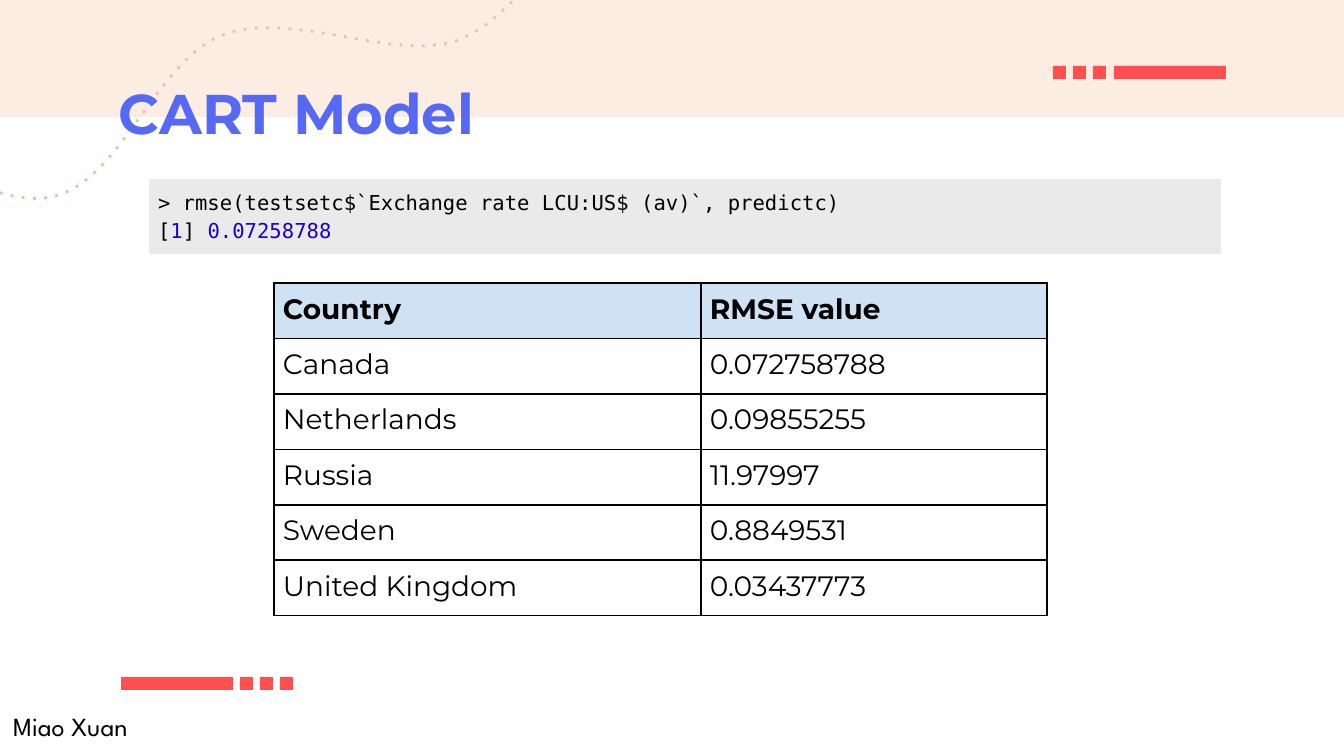
from lxml import etree
from pptx import Presentation
from pptx import util as u
from pptx.dml.color import RGBColor
from pptx.enum import shapes, text
from pptx.oxml.ns import qn

BLACK = RGBColor(0x00, 0x00, 0x00)
PEACH = RGBColor(0xFC, 0xED, 0xE3)
SALMON = RGBColor(0xEF, 0xBF, 0xAB)
CORAL = RGBColor(0xFF, 0x4F, 0x4E)
INDIGO = RGBColor(0x56, 0x69, 0xF4)
GRAY = RGBColor(0xEA, 0xEA, 0xEA)
SKY = RGBColor(0xCF, 0xE2, 0xF3)
NUMBER = RGBColor(0x1C, 0x00, 0xCF)

TITLE = "CART Model"
AUTHOR = "Miao Xuan"
CODE = [
    [("> rmse(testsetc$`Exchange rate LCU:US$ (av)`, predictc)", BLACK)],
    [("[", BLACK), ("1", NUMBER), ("] ", BLACK), ("0.07258788", NUMBER)],
]
RESULTS = [
    ("Country", "RMSE value"),
    ("Canada", "0.072758788"),
    ("Netherlands", "0.09855255"),
    ("Russia", "11.97997"),
    ("Sweden", "0.8849531"),
    ("United Kingdom", "0.03437773"),
]
BAR_STARTS = [
    (1114, [1053, 1073, 1093], 66),
    (121, [240, 260, 280], 677),
]
WAVE_START = (-396, 297)
WAVE_CURVES = [
    [(-362, 270), (-259, 157), (-184, 140)],
    [(-109, 124), (-13, 214), (55, 196)],
    [(122, 179), (156, 60), (223, 35)],
    [(290, 9), (396, 63), (458, 40)],
    [(520, 17), (570, -79), (593, -102)],
]
CELL_INSET = 9
BOX_INSET = 13
FRAME_SIDE = 441

deck = Presentation()
SCALE = u.Inches(10) / 1344


def px(value):
    return round(value * SCALE)


deck.slide_width, deck.slide_height = px(1344), px(756)
page = deck.slides.add_slide(deck.slide_layouts[6])


def add_rect(left, top, width, height, color):
    rect = page.shapes.add_shape(
        shapes.MSO_SHAPE.RECTANGLE, px(left), px(top), px(width), px(height))
    rect.shadow.inherit = False
    rect.fill.solid()
    rect.fill.fore_color.rgb = color
    rect.line.fill.background()


def add_wave():
    builder = page.shapes.build_freeform(*map(px, WAVE_START))
    builder.add_line_segments(
        [(px(x), px(y)) for curve in WAVE_CURVES for x, y in curve], close=False)
    wave = builder.convert_to_shape()
    wave.shadow.inherit = False
    wave.fill.background()
    wave.line.color.rgb = SALMON
    wave.line.width = u.Pt(1.5)
    properties = wave._element.spPr
    etree.SubElement(properties.find(qn("a:ln")), qn("a:prstDash"), val="dot")
    segments = list(properties.iter(qn("a:lnTo")))
    outline = segments[0].getparent()
    for start in range(0, len(segments), 3):
        curve = etree.SubElement(outline, qn("a:cubicBezTo"))
        for segment in segments[start:start + 3]:
            curve.append(segment[0])
            outline.remove(segment)


def write(para, content, *, font, size, color=BLACK, bold=False):
    span = para.add_run()
    span.text = content
    span.font.name = font
    span.font.size = u.Pt(size)
    span.font.bold = bold
    span.font.color.rgb = color


def add_label(content, left, top, width, height, **style):
    box = page.shapes.add_textbox(px(left), px(top), px(width), px(height))
    frame = box.text_frame
    frame.word_wrap = True
    frame.margin_left = frame.margin_right = px(BOX_INSET)
    frame.margin_top = frame.margin_bottom = px(BOX_INSET)
    write(frame.paragraphs[0], content, **style)


def add_grid(row_count, left, top, widths, height):
    holder = page.shapes.add_table(
        row_count, len(widths), px(left), px(top), px(sum(widths)), px(height))
    table = holder.table
    table.first_row = table.horz_banding = False
    for column, width in zip(table.columns, widths):
        column.width = px(width)
    holder.width = holder.height = px(FRAME_SIDE)
    return table


def format_cell(cell, fill=None, border_width=1, border_alpha=100):
    cell.margin_left = cell.margin_right = px(CELL_INSET)
    cell.margin_top = cell.margin_bottom = px(CELL_INSET)
    properties = cell._tc.get_or_add_tcPr()
    for side in ("lnL", "lnR", "lnT", "lnB"):
        line = etree.SubElement(properties, qn(f"a:{side}"), w=str(u.Pt(border_width)))
        paint = etree.SubElement(line, qn("a:solidFill"))
        color = etree.SubElement(paint, qn("a:srgbClr"), val=str(BLACK))
        if border_alpha < 100:
            etree.SubElement(color, qn("a:alpha"), val=str(border_alpha * 1000))
    if fill is None:
        cell.fill.background()
    else:
        cell.fill.solid()
        cell.fill.fore_color.rgb = fill


add_rect(-1, 0, 1345, 117, PEACH)
add_wave()
for bar_left, square_lefts, bar_top in BAR_STARTS:
    add_rect(bar_left, bar_top, 112, 13, CORAL)
    for square_left in square_lefts:
        add_rect(square_left, bar_top, 13, 13, CORAL)

add_label(TITLE, 106, 66, 1133, 85, font="Montserrat", size=30, color=INDIGO, bold=True)

code_cell = add_grid(1, 149, 179, [1072], 0).cell(0, 0)
format_cell(code_cell, fill=GRAY, border_width=0.75, border_alpha=0)
for index, spans in enumerate(CODE):
    frame = code_cell.text_frame
    para = frame.add_paragraph() if index else frame.paragraphs[0]
    para.line_spacing = 1.15
    for content, color in spans:
        write(para, content, font="DejaVu Sans Mono", size=11, color=color)

results = add_grid(len(RESULTS), 274, 283, [427, 346], 333)
for row, values in enumerate(RESULTS):
    header = row == 0
    for column, value in enumerate(values):
        cell = results.cell(row, column)
        format_cell(cell, fill=SKY if header else None)
        para = cell.text_frame.paragraphs[0]
        para.alignment = text.PP_ALIGN.JUSTIFY
        write(para, value, font="Montserrat", size=15, bold=header)

add_label(AUTHOR, 0, 697, 164, 59, font="League Spartan", size=14)

deck.save("out.pptx")
